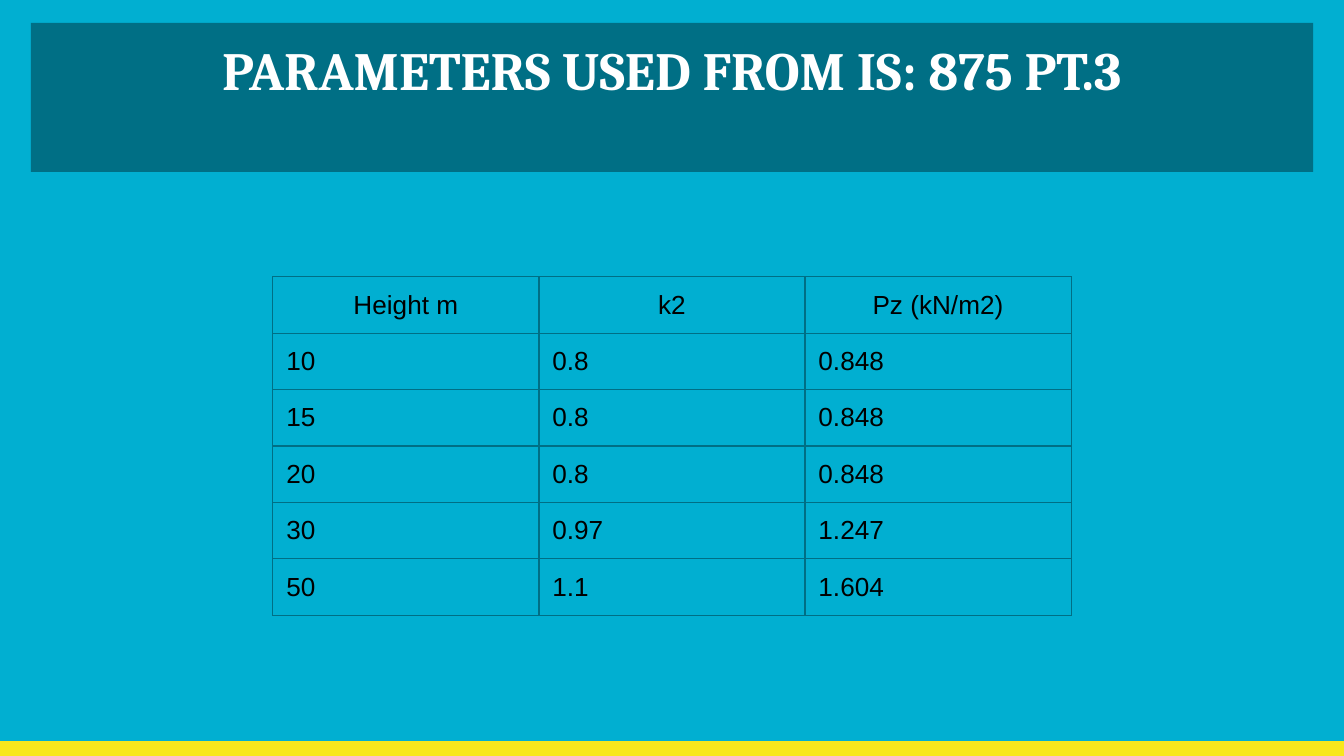
from lxml.etree import SubElement
from pptx import Presentation
from pptx.dml.color import RGBColor
from pptx.enum.shapes import MSO_SHAPE
from pptx.enum.text import MSO_ANCHOR, MSO_AUTO_SIZE, PP_ALIGN
from pptx.oxml.ns import qn
from pptx.util import Inches, Pt

WIDTH = 10
HEIGHT = WIDTH * 9 / 16
COLORS = {
    "background": "01AFD1",
    "band": "006F85",
    "stripe": "F8E71C",
    "heading": "FFFFFF",
    "text": "000000",
}
PARAMETERS = [
    ("Height m", "k2", "Pz (kN/m2)"),
    ("10", "0.8", "0.848"),
    ("15", "0.8", "0.848"),
    ("20", "0.8", "0.848"),
    ("30", "0.97", "1.247"),
    ("50", "1.1", "1.604"),
]
COLUMN, ROW, INSET = 1.98, 0.42, 0.1


def paint(fill, role):
    """Fill with the solid colour of a role."""
    fill.solid()
    fill.fore_color.rgb = RGBColor.from_string(COLORS[role])


def write(frame, words, font, size, role, align, bold=False):
    """Write one formatted run into the first paragraph of a frame."""
    paragraph = frame.paragraphs[0]
    paragraph.alignment = align
    run = paragraph.add_run()
    run.text = words
    run.font.name, run.font.size, run.font.bold = font, Pt(size), bold
    run.font.color.rgb = RGBColor.from_string(COLORS[role])


def set_insets(holder):
    """Give a frame or cell the same inset on every side."""
    holder.margin_left = holder.margin_right = Inches(INSET)
    holder.margin_top = holder.margin_bottom = Inches(INSET)


def add_stripe(slide):
    """Add the full-width stripe along the bottom edge."""
    depth = 0.11
    stripe = slide.shapes.add_shape(
        MSO_SHAPE.RECTANGLE, 0, Inches(HEIGHT - depth), Inches(WIDTH), Inches(depth))
    stripe.shadow.inherit = False
    paint(stripe.fill, "stripe")
    stripe.line.fill.background()


def fill_title(slide, words):
    """Turn the title placeholder into a centred band."""
    title = slide.shapes.title
    margin = 0.23
    title.left, title.top = Inches(margin), Inches(0.17)
    title.width, title.height = Inches(WIDTH - 2 * margin), Inches(1.11)
    paint(title.fill, "band")
    frame = title.text_frame
    frame.word_wrap = True
    frame.auto_size = MSO_AUTO_SIZE.NONE
    frame.vertical_anchor = MSO_ANCHOR.TOP
    set_insets(frame)
    write(frame, words, "Cambria", 28.8, "heading", PP_ALIGN.CENTER, True)


def outline(cell):
    """Draw thin borders on all four sides of a cell."""
    properties = cell._tc.get_or_add_tcPr()
    for side in ("lnL", "lnR", "lnT", "lnB"):
        border = SubElement(properties, qn(f"a:{side}"), w=str(Pt(0.75)))
        solid = SubElement(border, qn("a:solidFill"))
        SubElement(solid, qn("a:srgbClr"), val=COLORS["band"])


def add_parameters(slide):
    """Add the horizontally centred table of wind parameters."""
    columns, rows = len(PARAMETERS[0]), len(PARAMETERS)
    width = columns * COLUMN
    table = slide.shapes.add_table(
        rows, columns, Inches((WIDTH - width) / 2), Inches(2.06),
        Inches(width), Inches(rows * ROW)).table
    table.horz_banding = table.first_row = False
    for r, values in enumerate(PARAMETERS):
        align = PP_ALIGN.LEFT if r else PP_ALIGN.CENTER
        for c, value in enumerate(values):
            cell = table.cell(r, c)
            set_insets(cell)
            outline(cell)
            cell.fill.background()
            write(cell.text_frame, value, "Arial", 14, "text", align)


def main():
    """Build and save the slide."""
    deck = Presentation()
    deck.slide_width, deck.slide_height = Inches(WIDTH), Inches(HEIGHT)
    slide = deck.slides.add_slide(deck.slide_layouts.get_by_name("Title Only"))
    paint(slide.background.fill, "background")
    add_stripe(slide)
    fill_title(slide, "PARAMETERS USED FROM IS: 875 PT.3")
    add_parameters(slide)
    deck.save("out.pptx")


if __name__ == "__main__":
    main()
